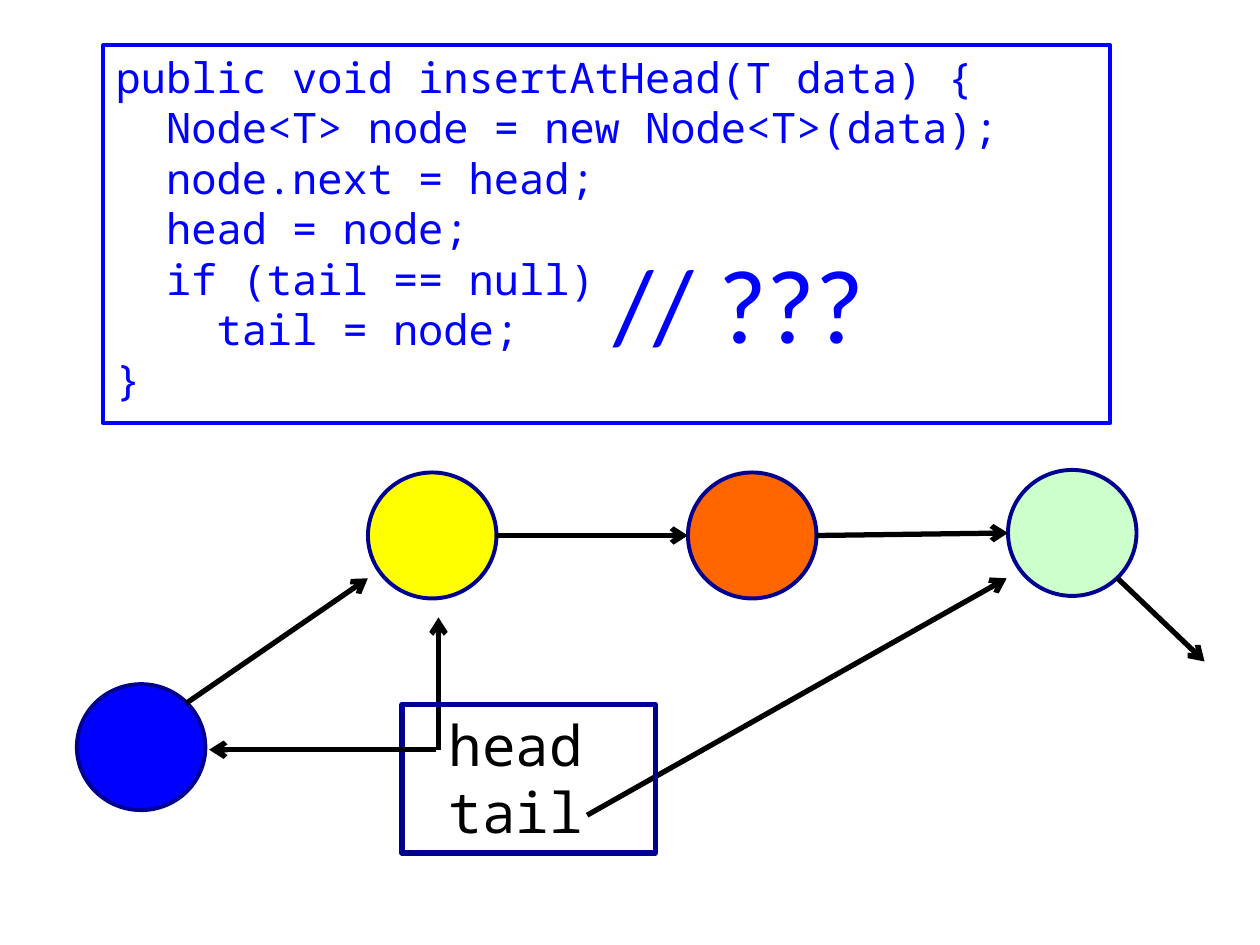
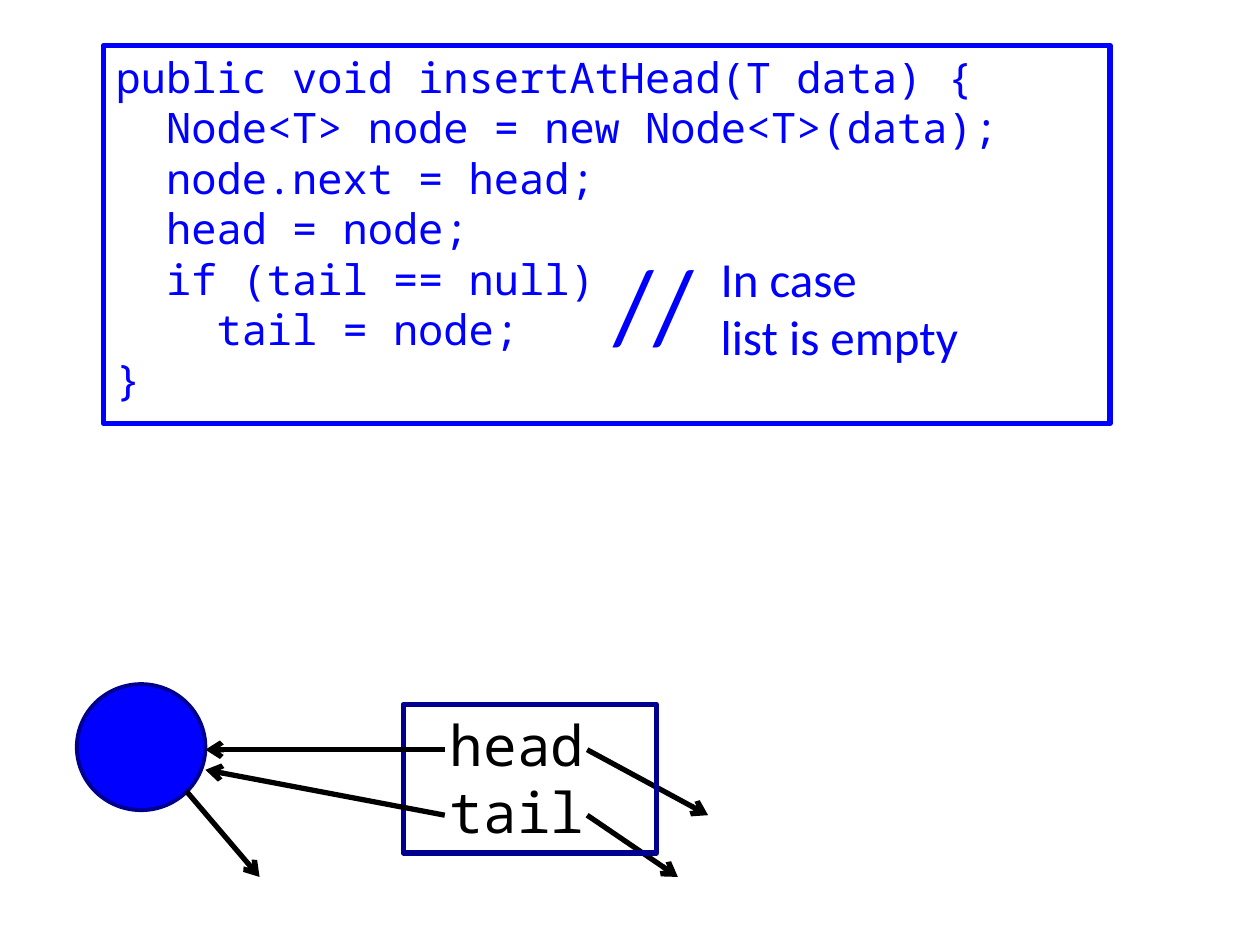
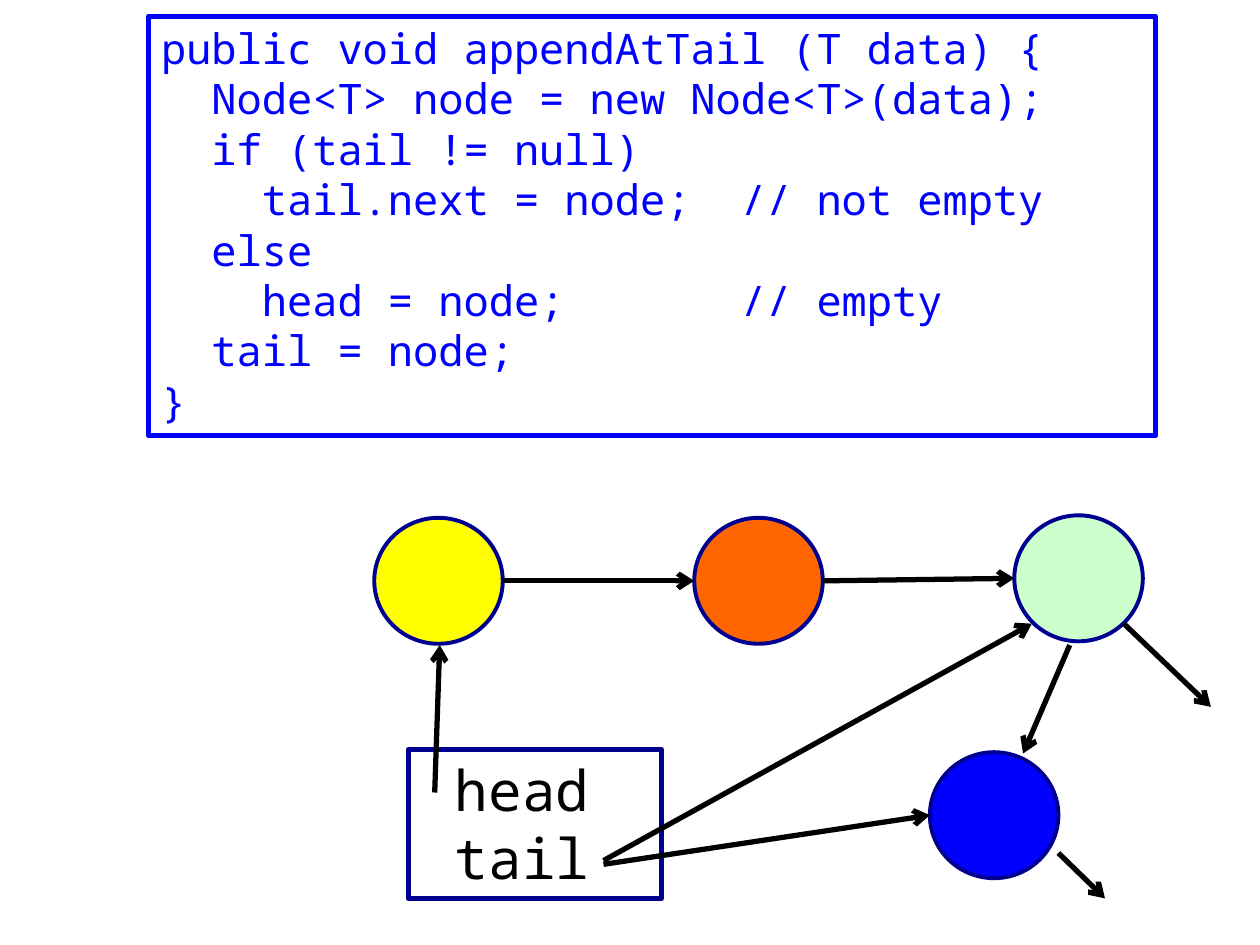
from pptx import Presentation
from pptx.dml.color import RGBColor
from pptx.enum.shapes import MSO_CONNECTOR as Connector, MSO_SHAPE as Shape
from pptx.enum.text import MSO_ANCHOR as Anchor, PP_ALIGN as Align
from pptx.oxml.ns import qn
from pptx.util import Inches, Pt
from lxml.etree import SubElement

BLUE = RGBColor(0x00, 0x00, 0xFF)
NAVY = RGBColor(0x00, 0x00, 0x90)
BLACK = RGBColor(0x00, 0x00, 0x00)
YELLOW = RGBColor(0xFF, 0xFF, 0x00)
ORANGE = RGBColor(0xFF, 0x66, 0x00)
MINT = RGBColor(0xCC, 0xFF, 0xCC)
CODE_FONT, NOTE_FONT = "Noto Sans Mono", "Calibri"

NODE_WIDTH, NODE_HEIGHT = 1.02, 1.0
NODE_STEP = 2.54
CHAIN = [(YELLOW, 0), (ORANGE, 0), (MINT, -0.02)]  # fill, vertical offset
CODE_WIDTH = 7.99
POINTER_WIDTH, POINTER_HEIGHT = 2.01, 1.18

INSERT_AT_HEAD = """public void insertAtHead(T data) {
  Node<T> node = new Node<T>(data);
  node.next = head;
  head = node;
  if (tail == null)
    tail = node;
}"""
APPEND_AT_TAIL = """public void appendAtTail (T data) {
  Node<T> node = new Node<T>(data);
  if (tail != null)
    tail.next = node;  // not empty
  else
    head = node;       // empty
  tail = node;
}"""

# Positions are (left, top); arrows are (from, to); notes end with width, height, size.
SLIDES = [
    {
        "code": INSERT_AT_HEAD, "code_at": (0.82, 0.36), "code_height": 3, "code_line": 2.25,
        "chain_at": (2.92, 3.75), "pointers_at": (3.19, 5.59), "new_node_at": (0.61, 5.43),
        "arrows_behind": [((3.48, 5.95), (3.48, 4.9)), ((4.66, 6.47), (7.99, 4.59))],
        "arrows_in_front": [((1.48, 5.58), (2.92, 4.59)), ((3.46, 5.95), (1.66, 5.95))],
        "notes": [("// ???", (4.77, 1.84), 2.21, 1.11, 60)],
    },
    {
        "code": INSERT_AT_HEAD, "code_at": (0.82, 0.36), "code_height": 3, "code_line": 3,
        "chain_at": None, "pointers_at": (3.2, 5.59), "new_node_at": (0.61, 5.43),
        "arrows_behind": [((4.66, 5.95), (5.62, 6.47)), ((4.66, 6.47), (5.38, 6.96))],
        "arrows_in_front": [((1.48, 6.28), (2.06, 6.96)), ((3.53, 5.95), (1.63, 5.95)),
                            ((3.53, 6.47), (1.63, 6.11))],
        "notes": [("//", (4.77, 1.84), 0.85, 1.11, 60),
                  ("In case\nlist is empty", (5.62, 1.92), 2.12, 1.04, 28)],
    },
    {
        "code": APPEND_AT_TAIL, "code_at": (1.18, 0.13), "code_height": 3.33, "code_line": 3,
        "chain_at": (2.97, 4.11), "pointers_at": (3.24, 5.95), "new_node_at": (7.38, 5.97),
        "arrows_behind": [],
        "arrows_in_front": [((3.45, 6.29), (3.49, 5.12)), ((4.79, 6.83), (8.19, 4.95)),
                            ((8.4, 6.77), (8.77, 7.13)), ((8.49, 5.12), (8.12, 5.98)),
                            ((4.79, 6.86), (7.38, 6.47))],
        "notes": [],
    },
]


def write(box, text, font, size, color):
    frame = box.text_frame
    frame.vertical_anchor = Anchor.TOP
    frame.text = text
    for para in frame.paragraphs:
        para.alignment = Align.LEFT
        for span in para.runs:
            span.font.name = font
            span.font.size = Pt(size)
            span.font.color.rgb = color


def add_outline(page, kind, at, width, height, color, weight, fill=None):
    shape = page.shapes.add_shape(kind, *map(Inches, (*at, width, height)))
    shape.shadow.inherit = False
    if fill is None:
        shape.fill.background()
    else:
        shape.fill.solid()
        shape.fill.fore_color.rgb = fill
    shape.line.color.rgb = color
    shape.line.width = Pt(weight)
    return shape


def add_node(page, at, fill):
    add_outline(page, Shape.OVAL, at, NODE_WIDTH, NODE_HEIGHT, NAVY, 2.25, fill)


def add_arrow(page, start, end):
    arrow = page.shapes.add_connector(Connector.STRAIGHT, *map(Inches, (*start, *end)))
    arrow.line.color.rgb = BLACK
    arrow.line.width = Pt(3)
    SubElement(arrow.line._get_or_add_ln(), qn("a:tailEnd"), type="arrow")
    SubElement(arrow._element.spPr, qn("a:effectLst"))


def add_chain(page, left, top):
    """Draw the linked nodes, their links and the null link of the last one."""
    places = [(left + i * NODE_STEP, top + shift) for i, (_, shift) in enumerate(CHAIN)]
    for place, (fill, _) in zip(places, CHAIN):
        add_node(page, place, fill)
    middle = NODE_HEIGHT / 2
    for (x, y), (next_x, next_y) in zip(places, places[1:]):
        add_arrow(page, (x + NODE_WIDTH, y + middle), (next_x, next_y + middle))
    x, y = places[-1]
    add_arrow(page, (x + 0.87, y + 0.86), (x + 1.56, y + 1.52))


def add_note(page, text, at, width, height, size):
    box = page.shapes.add_textbox(*map(Inches, (*at, width, height)))
    box.text_frame.word_wrap = False
    write(box, text, NOTE_FONT, size, BLUE)


def build_slide(page, content):
    code = add_outline(page, Shape.RECTANGLE, content["code_at"], CODE_WIDTH,
                       content["code_height"], BLUE, content["code_line"])
    write(code, content["code"], CODE_FONT, 24, BLUE)
    if content["chain_at"]:
        add_chain(page, *content["chain_at"])
    for start, end in content["arrows_behind"]:
        add_arrow(page, start, end)
    pointers = add_outline(page, Shape.RECTANGLE, content["pointers_at"],
                           POINTER_WIDTH, POINTER_HEIGHT, NAVY, 3)
    write(pointers, "head\ntail", CODE_FONT, 32, BLACK)
    pointers.text_frame.margin_left = Inches(0.37)
    add_node(page, content["new_node_at"], BLUE)
    for start, end in content["arrows_in_front"]:
        add_arrow(page, start, end)
    for note in content["notes"]:
        add_note(page, *note)


def main():
    deck = Presentation()
    deck.slide_width, deck.slide_height = Inches(10), Inches(7.5)
    for content in SLIDES:
        build_slide(deck.slides.add_slide(deck.slide_layouts[6]), content)
    deck.save("out.pptx")


if __name__ == "__main__":
    main()
